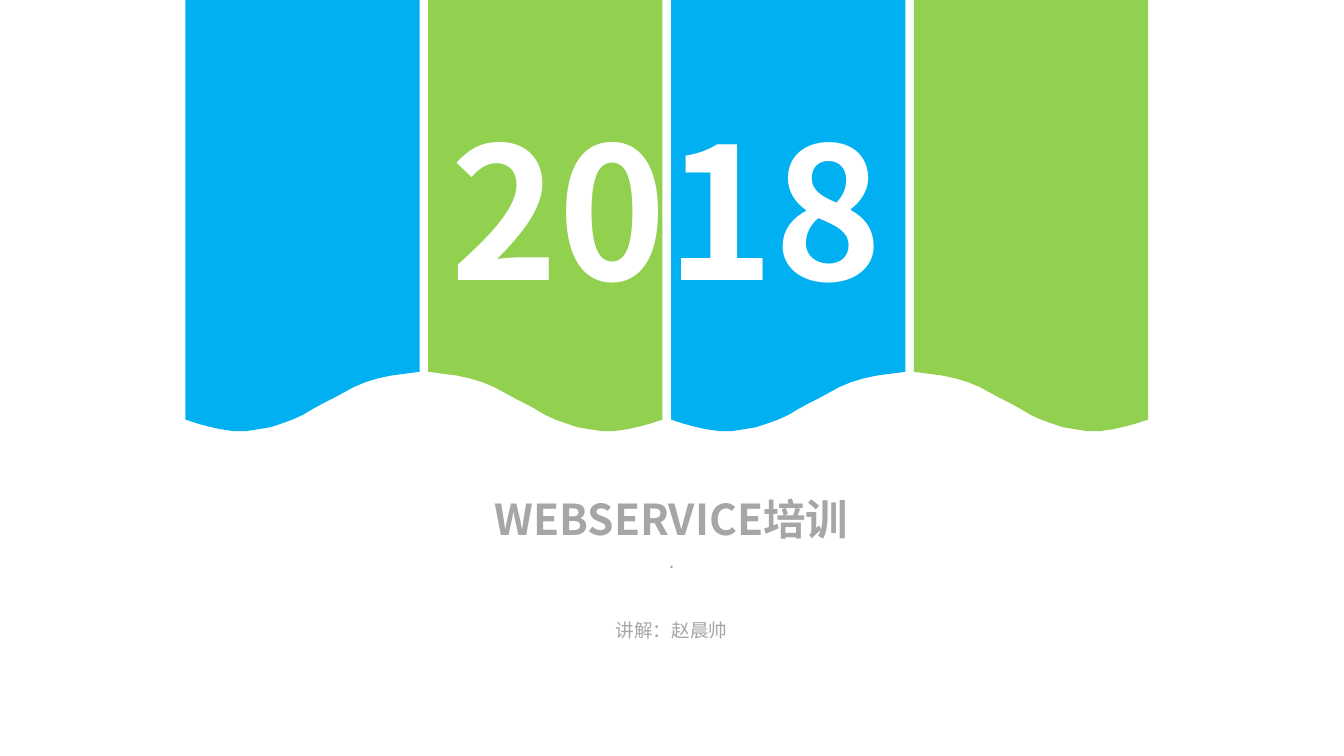
from pptx import Presentation
from pptx.dml.color import RGBColor
from pptx.enum import text as t
from pptx.oxml import ns
from pptx.util import Inches, Pt

BLUE, GREEN, GREY, WHITE = "00B0F0", "92D050", "A6A6A6", "FFFFFF"
SANS = "Noto Sans CJK SC"

# Lower edge of a banner, left to right: shares of width, inches from top
WAVE = [(0, 4.39), (0.12, 4.43), (0.23, 4.46), (0.36, 4.49), (0.5, 4.51),
        (0.64, 4.51), (0.77, 4.49), (0.89, 4.47), (1.01, 4.43), (1.12, 4.39),
        (1.23, 4.34), (1.33, 4.28), (1.44, 4.22), (1.54, 4.17), (1.65, 4.11),
        (1.76, 4.05), (1.88, 4), (2.01, 3.96), (2.15, 3.93), (2.3, 3.91),
        (2.45, 3.89)]


def color(value):
    return RGBColor.from_string(value)


def banner(slide, left, top, width, fill, flip):
    """Draw one hanging strip; flip mirrors its wave."""
    edge = [(width - x if flip else x, y) for x, y in WAVE]
    points = [(0, 0), *sorted(edge), (width, 0)]
    spots = [(Inches(left + x), Inches(top + y)) for x, y in points]
    pen = slide.shapes.build_freeform(*spots[0])
    pen.add_line_segments(spots[1:], close=True)
    shape = pen.convert_to_shape()
    shape.shadow.inherit = False
    shape.fill.solid()
    shape.fill.fore_color.rgb = color(fill)
    shape.line.fill.background()


def banners(slide, left, top, width, gap):
    """Hang four strips in a row."""
    for i in range(4):
        banner(slide, left + i * (width + gap), top, width,
               (BLUE, GREEN)[i % 2], i % 2 == 1)


def label(shape, box, words, size, tint, face=SANS, bold=False):
    """Place a shape and fill it with one centred line."""
    shape.left, shape.top, shape.width, shape.height = map(Inches, box)
    frame = shape.text_frame
    style = {"margin_left": 0, "margin_top": 0, "margin_right": 0,
             "margin_bottom": 0, "word_wrap": True,
             "auto_size": t.MSO_AUTO_SIZE.NONE,
             "vertical_anchor": t.MSO_ANCHOR.TOP}
    for name, value in style.items():
        setattr(frame, name, value)
    para = frame.paragraphs[0]
    para.alignment = t.PP_ALIGN.CENTER
    para.space_before = Pt(0)
    para.line_spacing = 0.89
    run = para.add_run()
    run.text = words
    for name, value in {"size": Pt(size), "bold": bold, "name": face}.items():
        setattr(run.font, name, value)
    run.font.color.rgb = color(tint)
    # East Asian typeface
    latin = run.font._element.find(ns.qn("a:latin"))
    asian = latin.makeelement(ns.qn("a:ea"), {"typeface": face})
    latin.addnext(asian)


def heading(slide, left, top, width):
    """Stack title, dot and speaker, centred in the given width."""
    def row(wide, down, high):
        return left + (width - wide) / 2, top + down, wide, high

    title, speaker = slide.placeholders
    label(title, row(width, 0, 0.54), "WEBSERVICE培训", 32, GREY, bold=True)
    dot = slide.shapes.add_textbox(0, 0, 0, 0)
    label(dot, row(5.87, 0.54, 0.27), ".", 16, GREY, "Arial")
    label(speaker, row(5.26, 1.28, 0.24), "讲解：赵晨帅", 14, GREY)


def cover(deck):
    slide = deck.slides.add_slide(deck.slide_layouts[0])
    banners(slide, 1.94, 0, 2.45, 0.09)
    heading(slide, 3.63, 5.22, 6.79)
    # Year across the middle strips
    year = slide.shapes.add_textbox(0, 0, 0, 0)
    label(year, (4.5, 1.3, 4.94, 2.32), "2018", 138, WHITE, bold=True)


deck = Presentation()
deck.slide_width, deck.slide_height = Inches(14.06), Inches(7.91)
cover(deck)
deck.save("out.pptx")
